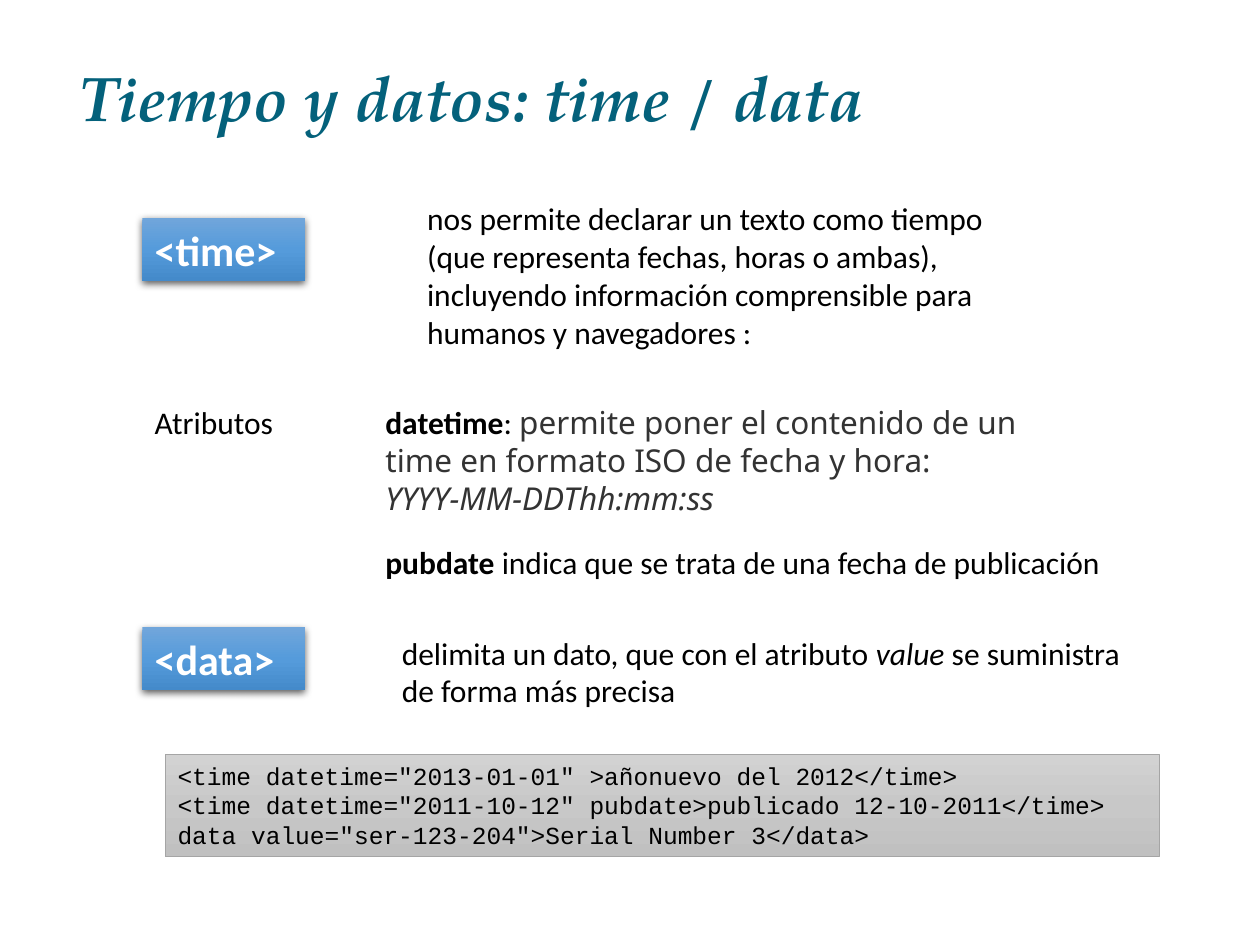
from lxml import etree
from pptx import Presentation
from pptx.dml.color import RGBColor
from pptx.enum.shapes import MSO_SHAPE
from pptx.enum.text import MSO_ANCHOR, PP_ALIGN
from pptx.oxml.ns import qn
from pptx.util import Cm, Pt

RECTANGLE = MSO_SHAPE.RECTANGLE
MIDDLE, TOP = MSO_ANCHOR.MIDDLE, MSO_ANCHOR.TOP
LEFT = PP_ALIGN.LEFT

BODY, CODE, TITLE, ISO = "Calibri", "Courier New", "TeX Gyre Pagella", "Noto Sans"
BLACK, WHITE, TEAL, GRAY = "000000", "FFFFFF", "04617B", "333333"
BLUES = ("71A6DB", "559BDB", "448ACA")
GRAYS = ("D2D2D2", "C8C8C8", "C0C0C0")
LINE_BREAK = "\v"


def color(hex_value):
    return RGBColor.from_string(hex_value)


def style(run, size=18, font=BODY, ink=BLACK, bold=False, italic=False):
    run.font.size = Pt(size)
    run.font.name = font
    run.font.color.rgb = color(ink)
    run.font.bold = bold
    run.font.italic = italic


def add_text(slide, box, *pieces, wrap=True):
    """Write one paragraph from (text, style options) pieces."""
    frame = slide.shapes.add_textbox(*map(Cm, box)).text_frame
    frame.word_wrap = wrap
    paragraph = frame.paragraphs[0]
    for text, options in pieces:
        if text == LINE_BREAK:
            paragraph.add_line_break()
            continue
        run = paragraph.add_run()
        run.text = text
        style(run, **options)
    return frame


def add_panel(slide, box, shades, text, anchor, **options):
    """Add a rectangle with a three-stop vertical gradient and left-aligned text."""
    panel = slide.shapes.add_shape(RECTANGLE, *map(Cm, box))
    panel.shadow.inherit = False
    panel.fill.gradient()
    panel.fill.gradient_angle = 270
    stops = panel._element.spPr.find(".//" + qn("a:gsLst"))
    for stop in list(stops):
        stops.remove(stop)
    for position, shade in zip((0, 50000, 100000), shades):
        stop = etree.SubElement(stops, qn("a:gs"), pos=str(position))
        etree.SubElement(stop, qn("a:srgbClr"), val=shade)
    frame = panel.text_frame
    frame.word_wrap = True
    frame.vertical_anchor = anchor
    frame.text = text
    for paragraph in frame.paragraphs:
        paragraph.alignment = LEFT
        for run in paragraph.runs:
            style(run, **options)
    return panel


def add_tag(slide, left, top, name):
    tag = add_panel(slide, (left, top, 3.28, 1.27), BLUES, name, MIDDLE,
                    size=24, ink=WHITE, bold=True)
    tag.line.fill.background()
    effects = tag._element.spPr.find(qn("a:effectLst"))
    shadow = etree.SubElement(effects, qn("a:outerShdw"), blurRad=str(Pt(4.5)),
                              dist=str(Pt(1.5)), dir="5400000", rotWithShape="0")
    ink = etree.SubElement(shadow, qn("a:srgbClr"), val=BLACK)
    etree.SubElement(ink, qn("a:alpha"), val="63000")


def add_title(slide, left, top, width, height):
    frame = add_text(slide, (left, top, width, height),
                     ("Tiempo y datos: time / data",
                      dict(size=36, font=TITLE, ink=TEAL, bold=True, italic=True)))
    frame.vertical_anchor = MIDDLE
    frame.paragraphs[0].line_spacing = 0.9


def add_time_section(slide, left, top):
    add_tag(slide, left, top + 0.5, "<time>")
    add_text(slide, (left + 5.49, top, 12.7, 3.33),
             ("nos permite declarar un texto como tiempo (que representa fechas, "
              "horas o ambas), incluyendo información comprensible para humanos "
              "y navegadores :", {}))


def add_attributes(slide, left, top):
    add_text(slide, (left, top, 3.05, 1.02), ("Atributos", {}), wrap=False)
    description = left + 4.65
    add_text(slide, (description, top, 14.35, 2.57),
             ("datetime", dict(bold=True)),
             (": ", {}),
             ("permite poner el contenido de un time en formato ISO de fecha y hora:",
              dict(font=ISO, ink=GRAY)),
             (LINE_BREAK, {}),
             ("YYYY-MM-DDThh:mm:ss", dict(font=ISO, ink=GRAY, italic=True)))
    add_text(slide, (description, top + 2.82, 15.16, 1.02),
             ("pubdate", dict(bold=True)),
             (" indica que se trata de una fecha de publicación", {}))


def add_data_section(slide, left, top):
    add_tag(slide, left, top, "<data>")
    add_text(slide, (left + 4.98, top, 15.52, 1.8),
             ("delimita un dato, que con el atributo ", {}),
             ("value", dict(italic=True)),
             (" se suministra de forma más precisa", {}))


def add_code(slide, left, top, width, height):
    listing = "\n".join((
        '<time datetime="2013-01-01" >añonuevo del 2012</time>',
        '<time datetime="2011-10-12" pubdate>publicado 12-10-2011</time>',
        'data value="ser-123-204">Serial Number 3</data>',
    ))
    panel = add_panel(slide, (left, top, width, height), GRAYS, listing, TOP,
                      size=14, font=CODE)
    panel.line.color.rgb = color("A5A5A5")
    panel.line.width = Pt(0.5)


def main():
    presentation = Presentation()
    presentation.slide_width, presentation.slide_height = Cm(25.4), Cm(19.05)
    slide = presentation.slides.add_slide(presentation.slide_layouts[6])
    margin = 2.87
    add_title(slide, 1.35, 1.14, 20.65, 1.78)
    add_time_section(slide, margin, 3.89)
    add_attributes(slide, margin, 8)
    add_data_section(slide, margin, 12.65)
    add_code(slide, 3.33, 15.21, 20.04, 2.06)
    presentation.save("out.pptx")


if __name__ == "__main__":
    main()
